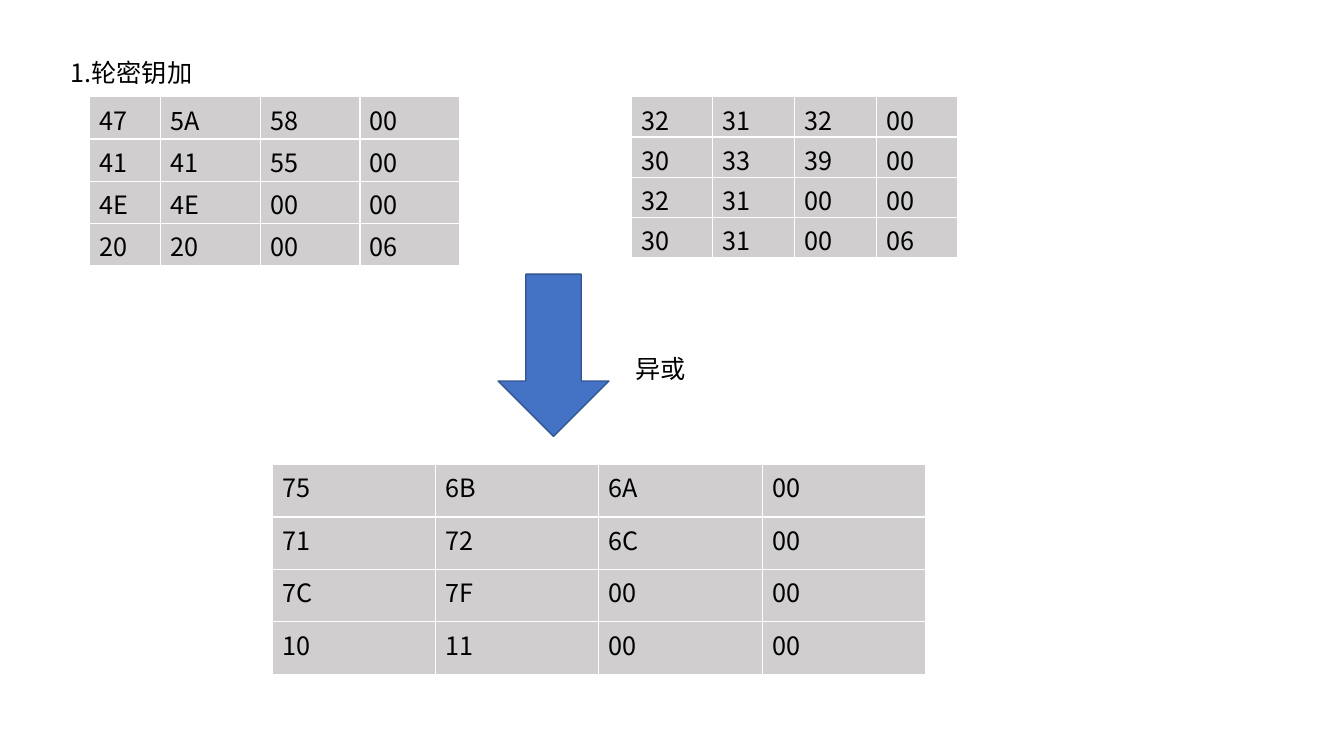
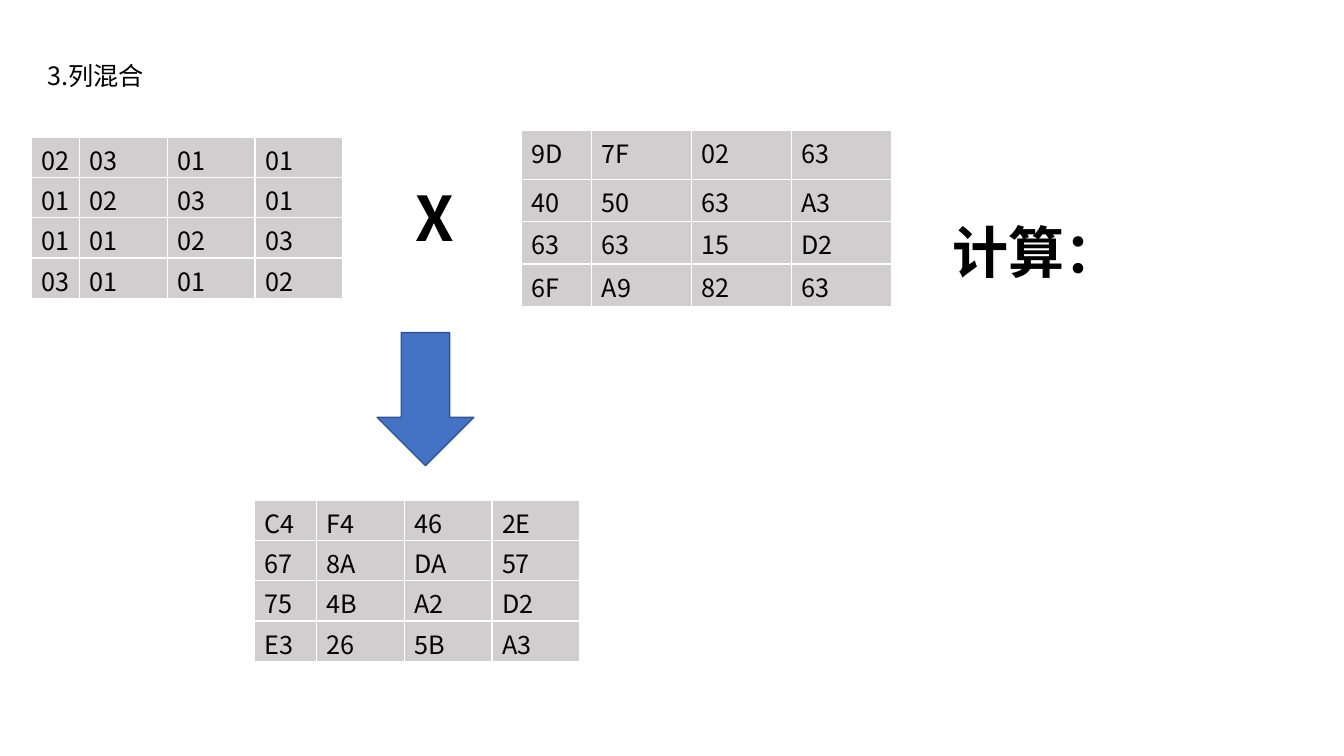
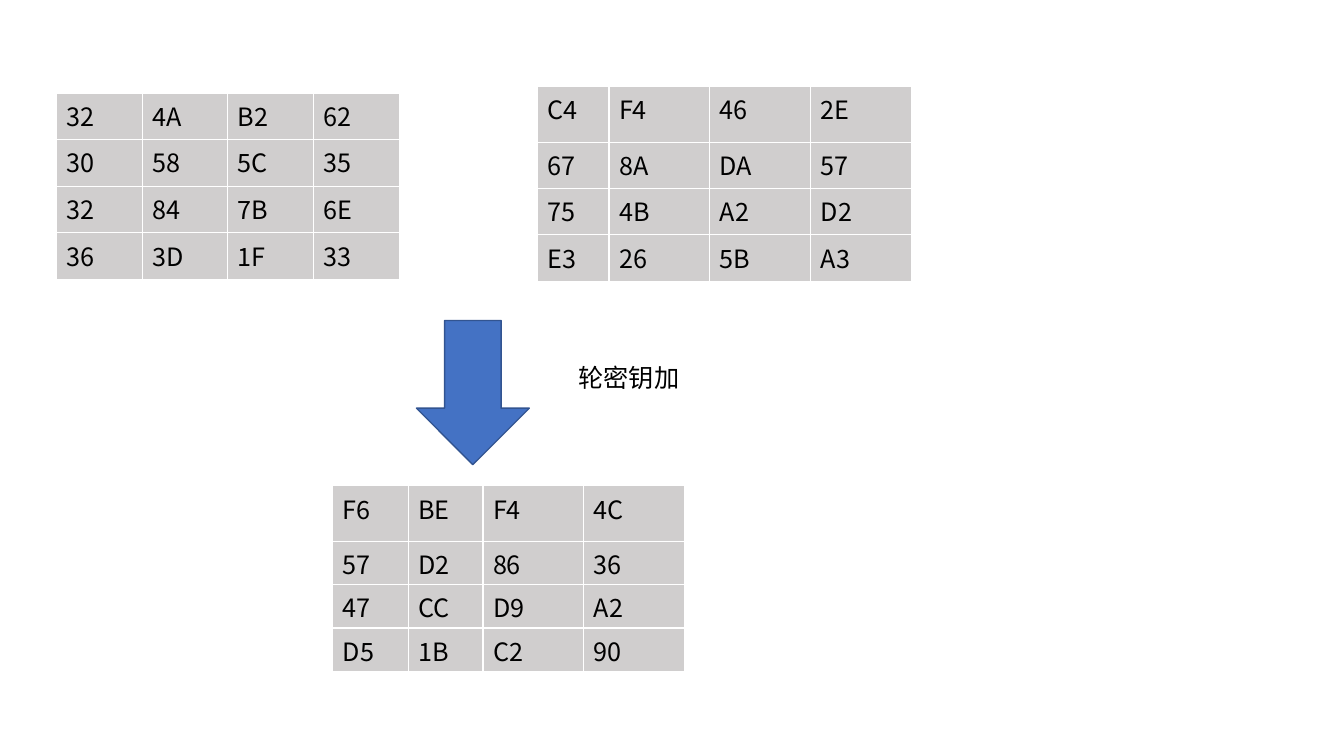
import dataclasses

import pptx
import pptx.dml.color
import pptx.enum.shapes
import pptx.enum.text
import pptx.oxml
import pptx.oxml.ns
import pptx.util
from pptx.util import Inches


@dataclasses.dataclass(frozen=True)
class Theme:
    """Colours, font and type sizes shared by all slides."""
    font: str = "Noto Sans CJK SC"
    text: str = "000000"
    cell: str = "D0CECE"
    border: str = "FFFFFF"
    arrow: str = "4472C4"
    arrow_line: str = "325491"
    body: int = 18
    heading: int = 40
    operator: int = 44


theme = Theme()
rgb = pptx.dml.color.RGBColor.from_string


def write_text(text_frame, text, size=theme.body, bold=False, line_spacing=None):
    """Write one formatted line into a text frame."""
    paragraph = text_frame.paragraphs[0]
    paragraph.line_spacing = line_spacing
    run = paragraph.add_run()
    run.text = text
    run.font.name = theme.font
    run.font.size = pptx.util.Pt(size)
    run.font.bold = bold
    run.font.color.rgb = rgb(theme.text)
    east_asian = pptx.oxml.parse_xml(
        f'<a:ea {pptx.oxml.ns.nsdecls("a")} typeface="{theme.font}"/>')
    run.font._element.find(pptx.oxml.ns.qn("a:latin")).addnext(east_asian)


def add_matrix(slide, left, top, widths, heights, values):
    """Add a byte matrix; its values are rows separated by slashes."""
    rows = [row.split() for row in values.split("/")]
    table = slide.shapes.add_table(
        len(rows), len(widths), Inches(left), Inches(top),
        Inches(sum(widths)), Inches(sum(heights))).table
    table.first_row = table.horz_banding = False
    for column, width in zip(table.columns, widths):
        column.width = Inches(width)
    for table_row, height, row in zip(table.rows, heights, rows):
        table_row.height = Inches(height)
        for cell, value in zip(table_row.cells, row):
            cell.margin_top, cell.margin_bottom = Inches(0.04), 0
            cell.fill.solid()
            cell.fill.fore_color.rgb = rgb(theme.cell)
            write_text(cell.text_frame, value)
            properties = cell._tc.get_or_add_tcPr()
            for index, side in enumerate("LRTB"):
                properties.insert(index, pptx.oxml.parse_xml(
                    f'<a:ln{side} {pptx.oxml.ns.nsdecls("a")} w="12700"><a:solidFill>'
                    f'<a:srgbClr val="{theme.border}"/></a:solidFill></a:ln{side}>'))


# Texts: left, top, width, height, wrap, text, format
# Matrices: left, top, column widths, row heights, values
slides = [
    {
        "texts": [
            (0.6, 0.55, 11.82, 0.71, True, "1.轮密钥加", {"line_spacing": 0.9}),
            (6.2, 3.46, 0.71, 0.4, False, "异或", {}),
        ],
        "arrow": (4.94, 2.72, 1.1, 1.61),
        "matrices": [
            (0.89, 0.96, [0.7] + [0.99] * 3, [0.42] * 4,
             "47 5A 58 00 / 41 41 55 00 / 4E 4E 00 00 / 20 20 00 06"),
            (6.26, 0.96, [0.81] * 4, [0.4] * 4,
             "32 31 32 00 / 30 33 39 00 / 32 31 00 00 / 30 31 00 06"),
            (2.7, 4.61, [1.62] * 4, [0.52] * 4,
             "75 6B 6A 00 / 71 72 6C 00 / 7C 7F 00 00 / 10 11 00 00"),
        ],
    },
    {
        "texts": [
            (0.37, 0.58, 12.25, 1.01, True, "3.列混合", {"line_spacing": 0.9}),
            (4.02, 1.74, 0.47, 0.84, True, "X", {"size": theme.operator, "bold": True}),
            (9.35, 2.11, 2.48, 0.77, True, "计算：", {"size": theme.heading, "bold": True}),
        ],
        "arrow": (3.74, 3.3, 0.96, 1.32),
        "matrices": [
            (0.31, 1.36, [0.48] + [0.87] * 3, [0.4] * 4,
             "02 03 01 01 / 01 02 03 01 / 01 01 02 03 / 03 01 01 02"),
            (2.52, 4.96, [0.62] + [0.87] * 3, [0.4] * 4,
             "C4 F4 46 2E / 67 8A DA 57 / 75 4B A2 D2 / E3 26 5B A3"),
            (5.17, 1.29, [0.7] + [0.99] * 3, [0.49] + [0.42] * 3,
             "9D 7F 02 63 / 40 50 63 A3 / 63 63 15 D2 / 6F A9 82 63"),
        ],
    },
    {
        "texts": [(5.64, 3.55, 2.06, 0.4, True, "轮密钥加", {})],
        "arrow": (4.13, 3.18, 1.12, 1.43),
        "matrices": [
            (0.56, 0.93, [0.85] * 4, [0.45, 0.47, 0.46, 0.46],
             "32 4A B2 62 / 30 58 5C 35 / 32 84 7B 6E / 36 3D 1F 33"),
            (5.33, 0.86, [0.71] + [1] * 3, [0.55] + [0.46] * 3,
             "C4 F4 46 2E / 67 8A DA 57 / 75 4B A2 D2 / E3 26 5B A3"),
            (3.3, 4.82, [0.75, 0.74, 1, 1], [0.55] + [0.43] * 3,
             "F6 BE F4 4C / 57 D2 86 36 / 47 CC D9 A2 / D5 1B C2 90"),
        ],
    },
]

presentation = pptx.Presentation()
presentation.slide_width = Inches(13.33)
presentation.slide_height = Inches(7.5)

for content in slides:
    slide = presentation.slides.add_slide(presentation.slide_layouts[6])
    for left, top, width, height, wrap, text, text_format in content["texts"]:
        text_frame = slide.shapes.add_textbox(
            Inches(left), Inches(top), Inches(width), Inches(height)).text_frame
        text_frame.word_wrap = wrap
        text_frame.auto_size = pptx.enum.text.MSO_AUTO_SIZE.SHAPE_TO_FIT_TEXT
        write_text(text_frame, text, **text_format)
    for matrix in content["matrices"]:
        add_matrix(slide, *matrix)
    arrow = slide.shapes.add_shape(
        pptx.enum.shapes.MSO_SHAPE.DOWN_ARROW, *map(Inches, content["arrow"]))
    arrow.shadow.inherit = False
    arrow.fill.solid()
    arrow.fill.fore_color.rgb = rgb(theme.arrow)
    arrow.line.color.rgb = rgb(theme.arrow_line)
    arrow.line.width = pptx.util.Pt(1)

presentation.save("out.pptx")
